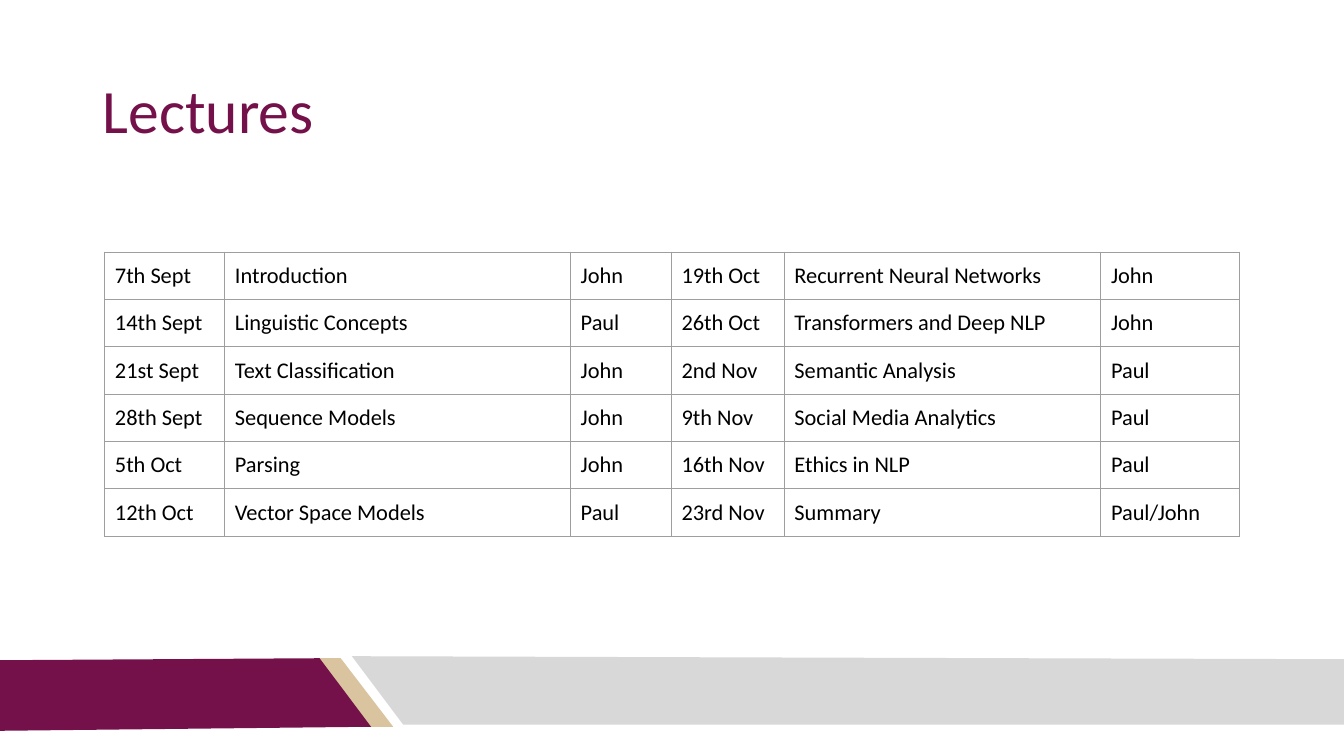
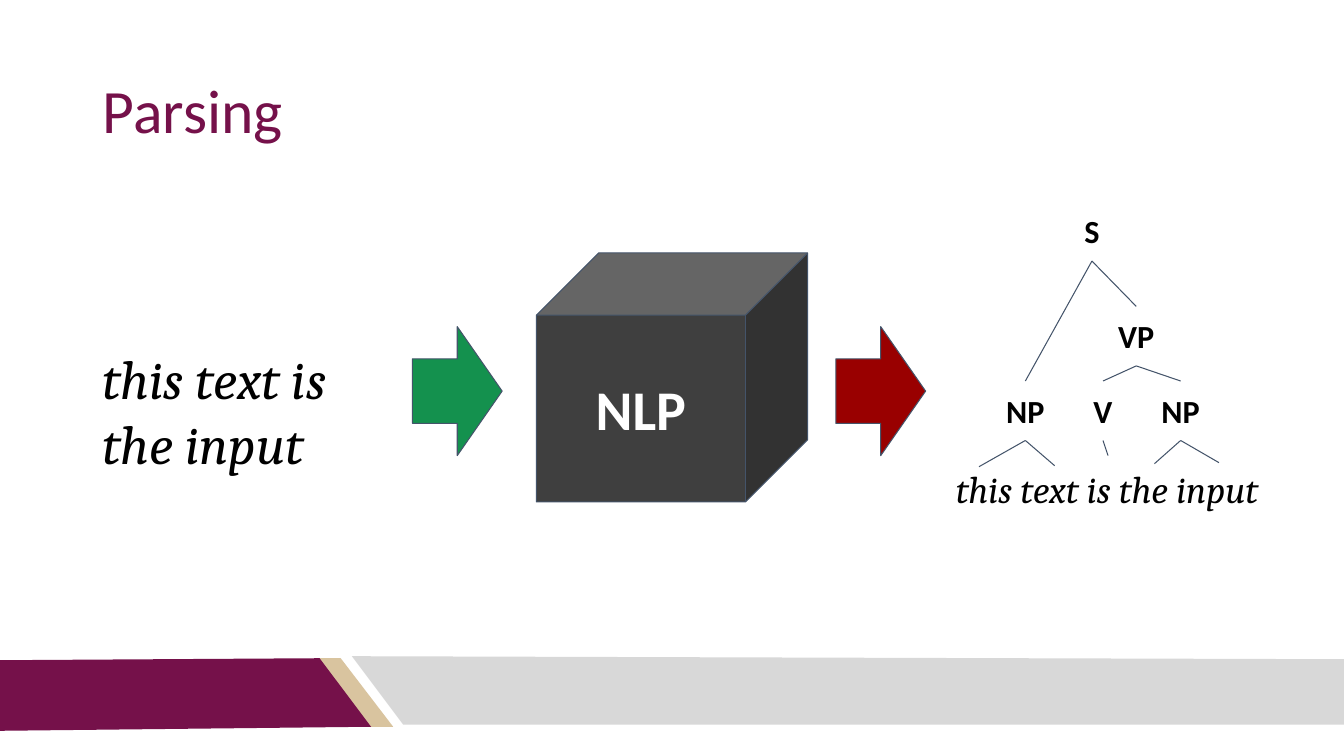
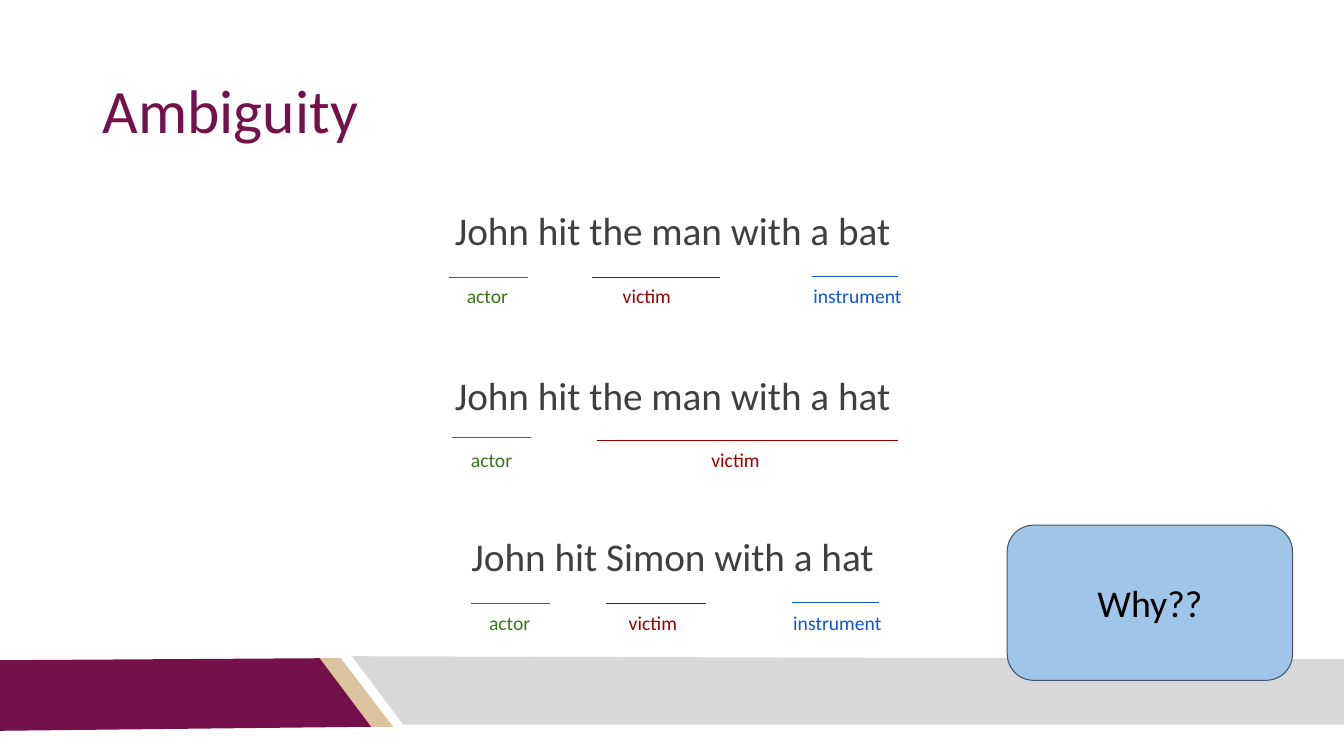
from lxml import etree
from pptx import Presentation
from pptx.dml.color import RGBColor
from pptx.enum.shapes import MSO_CONNECTOR, MSO_SHAPE
from pptx.enum.text import MSO_ANCHOR, PP_ALIGN
from pptx.oxml.ns import qn
from pptx.util import Pt

PX = 9144  # EMU per px, 100 px to the inch
SLIDE_WIDTH, SLIDE_HEIGHT = 1333, 750
MARGIN_LEFT, CONTENT_WIDTH = 92, 1150
INSET = 10
LINE_WIDTH = Pt(0.75)

STRAIGHT = MSO_CONNECTOR.STRAIGHT
CUBE, RIGHT_ARROW = MSO_SHAPE.CUBE, MSO_SHAPE.RIGHT_ARROW
ROUNDED_RECTANGLE = MSO_SHAPE.ROUNDED_RECTANGLE
TOP, MIDDLE = MSO_ANCHOR.TOP, MSO_ANCHOR.MIDDLE
LEFT, CENTER = PP_ALIGN.LEFT, PP_ALIGN.CENTER
SIDE_TOP, SIDE_BOTTOM = 0, 2

SANS, SERIF = "Calibri", "Cambria"
BLACK, WHITE = "000000", "FFFFFF"
MAROON, SAND, SILVER = "75114A", "D9C49F", "D8D8D8"
CHARCOAL, SLATE, GRID = "3F3F3F", "44546A", "9E9E9E"
GREEN, RED, SKY = "14914E", "990000", "9FC5E8"

FOOTER_BANDS = [
    (SAND, [(316, 653), (338, 653), (390, 721), (367, 721)]),
    (MAROON, [(0, 655), (317, 653), (368, 721), (0, 725)]),
    (SILVER, [(349, 651), (1333, 654), (1333, 719), (400, 719)]),
]

LECTURE_COLUMNS = [119, 343, 100, 112, 314, 137]
LECTURE_ROW_HEIGHT = 47
LECTURES = [
    ("7th Sept", "Introduction", "John", "19th Oct", "Recurrent Neural Networks", "John"),
    ("14th Sept", "Linguistic Concepts", "Paul", "26th Oct", "Transformers and Deep NLP", "John"),
    ("21st Sept", "Text Classification", "John", "2nd Nov", "Semantic Analysis", "Paul"),
    ("28th Sept", "Sequence Models", "John", "9th Nov", "Social Media Analytics", "Paul"),
    ("5th Oct", "Parsing", "John", "16th Nov", "Ethics in NLP", "Paul"),
    ("12th Oct", "Vector Space Models", "Paul", "23rd Nov", "Summary", "Paul/John"),
]

NODE_WIDTH, NODE_HEIGHT = 66, 59
# node: (label, left, top) within the tree
TREE_NODES = {
    "sentence": ("S", 166, 0),
    "predicate": ("VP", 210, 104),
    "subject": ("NP", 100, 178),
    "verb": ("V", 177, 178),
    "object": ("NP", 254, 178),
}
TREE_BRANCHES = [
    ("sentence", "subject"), ("sentence", "predicate"),
    ("predicate", "verb"), ("predicate", "object"),
]
# (node, x, y) of the line's end above the words
TREE_LEAVES = [
    ("subject", 87, 263), ("subject", 162, 262), ("verb", 215, 252),
    ("object", 261, 260), ("object", 325, 259),
]

# role: (colour, label width)
ROLES = {"actor": ("38761D", 85), "victim": (RED, 85), "instrument": ("1155CC", 129)}
ROLE_LABEL_HEIGHT = 44
# (sentence, top, label offset, [(role, label left, line start, line end, line offset)])
SENTENCES = [
    ("John hit the man with a bat", 200, 72, [
        ("actor", 349, 353, 432, 3),
        ("victim", 507, 495, 622, 3),
        ("instrument", 694, 713, 799, 2),
    ]),
    ("John hit the man with a hat", 364, 70, [
        ("actor", 353, 356, 435, 0),
        ("victim", 595, 500, 799, 3),
    ]),
    ("John hit Simon with a hat", 523, 73, [
        ("actor", 371, 375, 454, 3),
        ("victim", 513, 509, 608, 3),
        ("instrument", 674, 694, 780, 2),
    ]),
]


def color(value):
    return RGBColor.from_string(value)


def scaled(*lengths):
    return [length * PX for length in lengths]


def style_text(frame, text, size, text_color, font=SANS, bold=False, italic=False,
               align=LEFT, line_spacing=None):
    frame.text = text
    paragraph = frame.paragraphs[0]
    paragraph.alignment = align
    if line_spacing:
        paragraph.line_spacing = line_spacing
    for run in paragraph.runs:
        run.font.name = font
        run.font.size = Pt(size)
        run.font.bold = bold
        run.font.italic = italic
        run.font.color.rgb = color(text_color)


def set_frame(frame, anchor):
    frame.word_wrap = True
    frame.vertical_anchor = anchor
    frame.margin_left = frame.margin_right = INSET * PX
    frame.margin_top = frame.margin_bottom = INSET * PX


def add_text(slide, box, text, size, text_color, anchor=TOP, **style):
    shape = slide.shapes.add_textbox(*scaled(*box))
    set_frame(shape.text_frame, anchor)
    style_text(shape.text_frame, text, size, text_color, **style)
    return shape


def add_figure(slide, preset, box, fill, adjustments):
    """Add a filled preset shape with the thin slate outline."""
    shape = slide.shapes.add_shape(preset, *scaled(*box))
    shape.shadow.inherit = False
    for index, value in enumerate(adjustments):
        shape.adjustments[index] = value
    shape.fill.solid()
    shape.fill.fore_color.rgb = color(fill)
    shape.line.color.rgb = color(SLATE)
    shape.line.width = LINE_WIDTH
    set_frame(shape.text_frame, MIDDLE)
    return shape


def add_line(slide, start, end, line_color):
    line = slide.shapes.add_connector(STRAIGHT, *scaled(*start, *end))
    line.line.color.rgb = color(line_color)
    line.line.width = LINE_WIDTH
    etree.SubElement(line._element.spPr, qn("a:effectLst"))
    return line


def add_footer(slide):
    for fill, points in FOOTER_BANDS:
        builder = slide.shapes.build_freeform(*points[0], scale=PX)
        builder.add_line_segments(points[1:], close=True)
        band = builder.convert_to_shape()
        band.shadow.inherit = False
        band.fill.solid()
        band.fill.fore_color.rgb = color(fill)
        band.line.fill.background()


def add_titled_slide(presentation, title):
    slide = presentation.slides.add_slide(presentation.slide_layouts[6])
    add_footer(slide)
    add_text(slide, (MARGIN_LEFT, 40, CONTENT_WIDTH, 145), title, 44, MAROON,
             anchor=MIDDLE, line_spacing=0.9)
    return slide


def set_cell_borders(cell):
    properties = cell._tc.get_or_add_tcPr()
    for position, side in enumerate(("a:lnL", "a:lnR", "a:lnT", "a:lnB")):
        border = etree.Element(qn(side), w=str(int(LINE_WIDTH)))
        fill = etree.SubElement(border, qn("a:solidFill"))
        etree.SubElement(fill, qn("a:srgbClr"), val=GRID)
        properties.insert(position, border)


def add_lecture_table(slide, left, top):
    frame = slide.shapes.add_table(
        len(LECTURES), len(LECTURE_COLUMNS),
        *scaled(left, top, sum(LECTURE_COLUMNS), LECTURE_ROW_HEIGHT * len(LECTURES)))
    table = frame.table
    table.first_row = table.horz_banding = False
    for column, width in zip(table.columns, LECTURE_COLUMNS):
        column.width = width * PX
    for row, texts in zip(table.rows, LECTURES):
        row.height = LECTURE_ROW_HEIGHT * PX
        for cell, text in zip(row.cells, texts):
            cell.fill.background()
            cell.margin_left = cell.margin_right = INSET * PX
            cell.margin_top = cell.margin_bottom = INSET * PX
            style_text(cell.text_frame, text, 16, BLACK)
            set_cell_borders(cell)


def add_parse_tree(slide, left, top):
    add_text(slide, (left, top + 252, 428, 66), "this text is the input", 27, BLACK,
             font=SERIF, italic=True, align=CENTER)
    nodes = {
        name: add_text(slide, (left + x, top + y, NODE_WIDTH, NODE_HEIGHT), label, 23,
                       BLACK, bold=True, align=CENTER)
        for name, (label, x, y) in TREE_NODES.items()
    }
    for parent, child in TREE_BRANCHES:
        branch = add_line(slide, (left, top), (left, top), SLATE)
        branch.begin_connect(nodes[parent], SIDE_BOTTOM)
        branch.end_connect(nodes[child], SIDE_TOP)
    for parent, x, y in TREE_LEAVES:
        end = (left + x, top + y)
        add_line(slide, end, end, SLATE).begin_connect(nodes[parent], SIDE_BOTTOM)


def add_sentence(slide, left, top, sentence, label_offset, roles):
    """Add a sentence with its roles marked and named below it."""
    add_text(slide, (left, top, CONTENT_WIDTH, 85), sentence, 28, CHARCOAL,
             align=CENTER, line_spacing=0.9)
    label_top = top + label_offset
    for role, label_left, line_start, line_end, line_offset in roles:
        role_color, label_width = ROLES[role]
        add_text(slide, (left + label_left, label_top, label_width, ROLE_LABEL_HEIGHT),
                 role, 14, role_color, align=CENTER)
        line_y = label_top + line_offset
        add_line(slide, (left + line_start, line_y), (left + line_end, line_y), role_color)


def build_lectures(presentation):
    slide = add_titled_slide(presentation, "Lectures")
    add_lecture_table(slide, 104, 250)


def build_parsing(presentation):
    slide = add_titled_slide(presentation, "Parsing")
    cube = add_figure(slide, CUBE, (532, 251, 269, 247), CHARCOAL, [0.25])
    style_text(cube.text_frame, "NLP", 40, WHITE, bold=True, align=CENTER)
    for left, fill in ((409, GREEN), (829, RED)):
        add_figure(slide, RIGHT_ARROW, (left, 324, 89, 128), fill, [0.5, 0.5])
    add_text(slide, (MARGIN_LEFT, 332, 303, 152), "this text is the input", 39, BLACK,
             font=SERIF, italic=True)
    add_parse_tree(slide, 884, 200)


def build_ambiguity(presentation):
    slide = add_titled_slide(presentation, "Ambiguity")
    for sentence, top, label_offset, roles in SENTENCES:
        add_sentence(slide, MARGIN_LEFT, top, sentence, label_offset, roles)
    question = add_figure(slide, ROUNDED_RECTANGLE, (999, 521, 283, 154), SKY, [0.17])
    style_text(question.text_frame, "Why??", 27, BLACK, align=CENTER)


def main():
    presentation = Presentation()
    presentation.slide_width, presentation.slide_height = scaled(SLIDE_WIDTH, SLIDE_HEIGHT)
    build_lectures(presentation)
    build_parsing(presentation)
    build_ambiguity(presentation)
    presentation.save("out.pptx")


if __name__ == "__main__":
    main()
